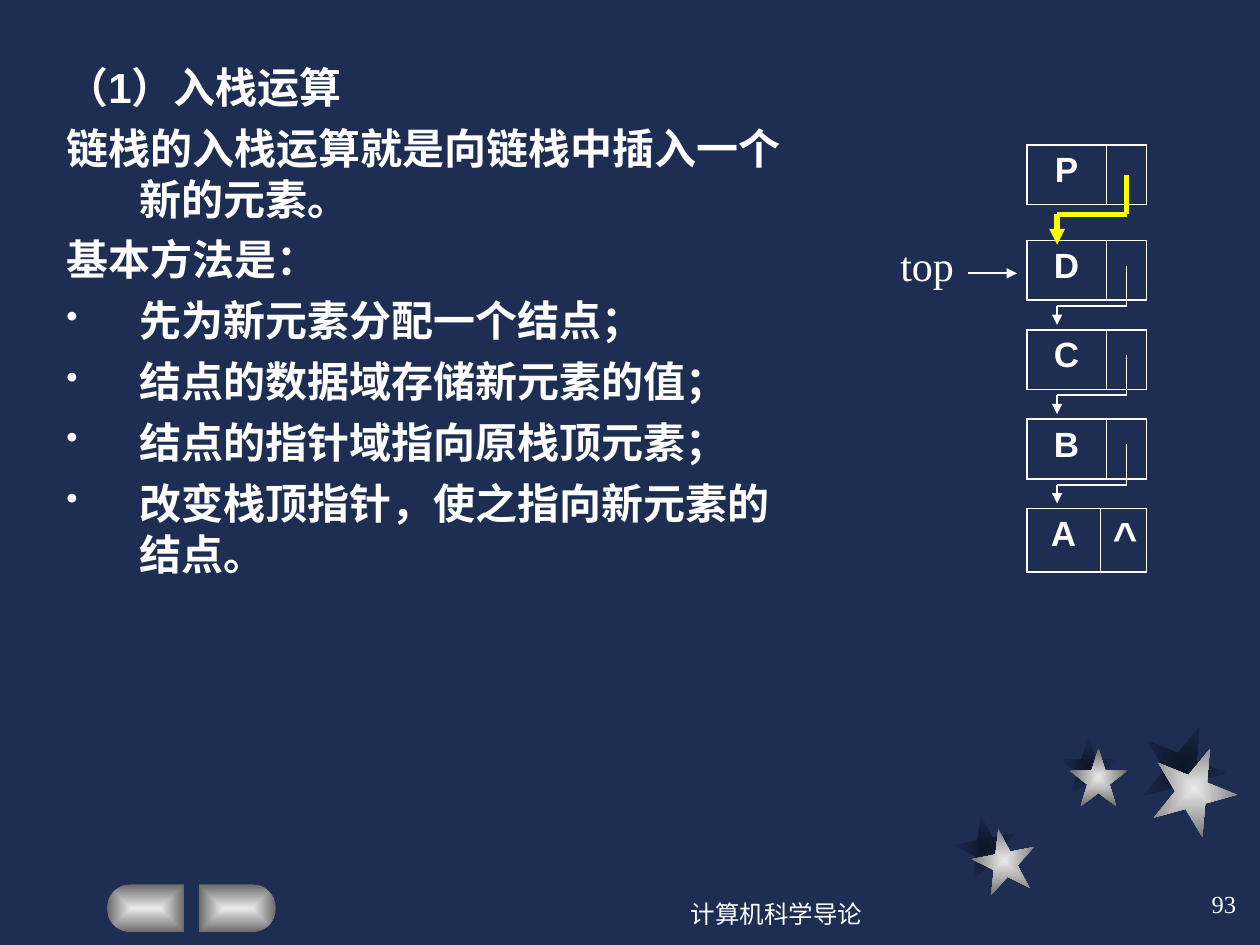
import math
from dataclasses import dataclass

from lxml import etree
from pptx import Presentation
from pptx import util as u
from pptx.dml import color
from pptx.enum import shapes, text
from pptx.oxml import ns


@dataclass(frozen=True)
class Theme:
    background: str = "1E2E53"
    white: str = "FFFFFF"
    yellow: str = "FFFF00"
    shade: tuple = ("0D1526", "1E2E53")
    metal: tuple = ("EAEAEA", "6B6B6B")
    sans: str = "Arial"
    serif: str = "Times New Roman"
    body_size: int = 24
    node_size: int = 20
    footer_size: int = 14


def rgb(value):
    return color.RGBColor.from_string(value)


def add_child(parent, tag, **attributes):
    return etree.SubElement(parent, ns.qn(tag), attributes)


class StackSlide:
    def __init__(self, presentation, theme):
        self.theme = theme
        self.slide = presentation.slides.add_slide(presentation.slide_layouts[6])
        fill = self.slide.background.fill
        fill.solid()
        fill.fore_color.rgb = rgb(theme.background)

    def style(self, paragraph, size, font, bold=False, align=None):
        paragraph.alignment = align
        for run in paragraph.runs:
            run.font.size = u.Pt(size)
            run.font.name = font
            run.font.bold = bold
            run.font.color.rgb = rgb(self.theme.white)

    def paint(self, shape, colors):
        shape.shadow.inherit = False
        shape.line.fill.background()
        shape.fill.gradient()
        for stop, position, value in zip(shape.fill.gradient_stops, (0, 1), colors):
            stop.position = position
            stop.color.rgb = rgb(value)
        gradient = shape.element.spPr.find(ns.qn("a:gradFill"))
        gradient.remove(gradient.find(ns.qn("a:lin")))
        route = add_child(gradient, "a:path", path="rect")
        add_child(route, "a:fillToRect", l="50000", t="50000", r="50000", b="50000")

    def star(self, left, top, size, rotation, colors):
        shape = self.slide.shapes.add_shape(
            shapes.MSO_SHAPE.STAR_5_POINT, u.Cm(left), u.Cm(top), u.Cm(size), u.Cm(size))
        shape.rotation = rotation
        self.paint(shape, colors)

    def button(self, flat_x, direction, top=17.83, width=1.55, radius=0.48):
        center_x = flat_x + direction * (width - radius)
        angles = [math.radians(angle) for angle in range(-90, 91, 10)]
        points = [(u.Cm(center_x + direction * radius * math.cos(angle)),
                   u.Cm(top + radius + radius * math.sin(angle))) for angle in angles]
        points.append((u.Cm(flat_x), u.Cm(top + 2 * radius)))
        builder = self.slide.shapes.build_freeform(u.Cm(flat_x), u.Cm(top))
        builder.add_line_segments(points, close=True)
        self.paint(builder.convert_to_shape(), self.theme.metal)

    def text_box(self, box, lines, size, font, bold=False, align=None,
                 anchor=text.MSO_ANCHOR.TOP, wrap=True):
        shape = self.slide.shapes.add_textbox(*map(u.Cm, box))
        frame = shape.text_frame
        frame.text = "\n".join(lines)
        frame.word_wrap = wrap
        if not wrap:
            frame.auto_size = text.MSO_AUTO_SIZE.SHAPE_TO_FIT_TEXT
        frame.vertical_anchor = anchor
        for paragraph in frame.paragraphs:
            self.style(paragraph, size, font, bold, align)
        return frame

    def body(self, box, plain, bulleted):
        frame = self.text_box(box, plain + bulleted, self.theme.body_size,
                              self.theme.sans, bold=True)
        indent = u.Cm(1.47)
        for index, paragraph in enumerate(frame.paragraphs):
            properties = paragraph._p.get_or_add_pPr()
            properties.set("marL", str(indent))
            properties.set("indent", str(-indent))
            if index >= len(plain):
                bullet_color = add_child(properties, "a:buClr")
                add_child(bullet_color, "a:srgbClr", val=self.theme.white)
                add_child(properties, "a:buSzPct", val="80000")
                add_child(properties, "a:buChar", char="•")
            if index:
                paragraph.space_before = u.Pt(6)

    def border(self, cell, thin_side):
        properties = cell._tc.get_or_add_tcPr()
        for side in ("lnL", "lnR", "lnT", "lnB"):
            width = u.Pt(0.45 if side == thin_side else 1.08)
            line = add_child(properties, f"a:{side}", w=str(width))
            add_child(add_child(line, "a:solidFill"), "a:srgbClr", val=self.theme.white)

    def node(self, top, label, mark="", widths=(1.6, 0.81), height=1.2):
        frame = self.slide.shapes.add_table(
            1, 2, u.Cm(20.7), u.Cm(top), u.Cm(sum(widths)), u.Cm(height))
        table = frame.table
        table.first_row = table.horz_banding = False
        contents = ((label, self.theme.node_size, "lnR"),
                    (mark, self.theme.body_size, "lnL"))
        for column, (content, size, thin_side) in enumerate(contents):
            table.columns[column].width = u.Cm(widths[column])
            cell = table.cell(0, column)
            self.border(cell, thin_side)
            cell.fill.background()
            if content:
                cell.text_frame.text = content
                self.style(cell.text_frame.paragraphs[0], size, self.theme.sans,
                           True, text.PP_ALIGN.CENTER)

    def line(self, start, end, value, width, arrow=False):
        connector = self.slide.shapes.add_connector(
            shapes.MSO_CONNECTOR.STRAIGHT, *map(u.Cm, start + end))
        connector.line.color.rgb = rgb(value)
        connector.line.width = u.Pt(width)
        if arrow:
            add_child(connector.line._get_or_add_ln(), "a:tailEnd", type="triangle")
        add_child(connector.element.spPr, "a:effectLst")

    def pointer(self, top, drops, value, width):
        right, left = 22.71, 21.31
        start, turn, end = (top + drop for drop in drops)
        self.line((right, start), (right, turn), value, width)
        self.line((left, turn), (right, turn), value, width)
        self.line((left, turn), (left, end), value, width, arrow=True)


def main():
    presentation = Presentation()
    presentation.slide_width, presentation.slide_height = u.Cm(25.4), u.Cm(19.05)
    theme = Theme()
    page = StackSlide(presentation, theme)

    stars = ((1.27, 349, (19.25, 16.43), (19.61, 16.71)),
             (1.17, 0, (21.36, 14.86), (21.56, 15.09)),
             (1.7, 22, (23.01, 14.6), (23.22, 15.04)))
    for layer, colors in enumerate((theme.shade, theme.metal)):
        for size, rotation, *places in stars:
            page.star(*places[layer], size, rotation, colors)
    page.button(3.71, -1)
    page.button(4.01, 1)

    page.body((1.09, 1.12, 15.01, 10.8),
              ["（1）入栈运算", "链栈的入栈运算就是向链栈中插入一个新的元素。", "基本方法是："],
              ["先为新元素分配一个结点；", "结点的数据域存储新元素的值；",
               "结点的指针域指向原栈顶元素；", "改变栈顶指针，使之指向新元素的结点。"])

    new_top, stack_top, step = 2.92, 4.85, 1.8
    for index, label in enumerate("DCB"):
        top = stack_top + index * step
        page.node(top, label)
        page.pointer(top, (0.51, 1.32, 1.7), theme.white, 1)
    page.node(stack_top + 3 * step, "A", "^", widths=(1.48, 0.93), height=1.28)
    page.node(new_top, "P")
    page.pointer(new_top, (0.61, 1.4, 2.01), theme.yellow, 3)

    page.text_box((17.9, 4.7, 1.7, 1.27), ["top"], theme.body_size, theme.serif, wrap=False)
    page.line((19.51, 5.51), (20.5, 5.51), theme.white, 1, arrow=True)

    footers = (((11.63, 17.78, 8.05, 1.27), "计算机科学导论", text.PP_ALIGN.CENTER),
               ((19.89, 17.58, 5.28, 1.27), "93", text.PP_ALIGN.RIGHT))
    for box, content, align in footers:
        page.text_box(box, [content], theme.footer_size, theme.serif, align=align,
                      anchor=text.MSO_ANCHOR.MIDDLE)

    presentation.save("out.pptx")


if __name__ == "__main__":
    main()
